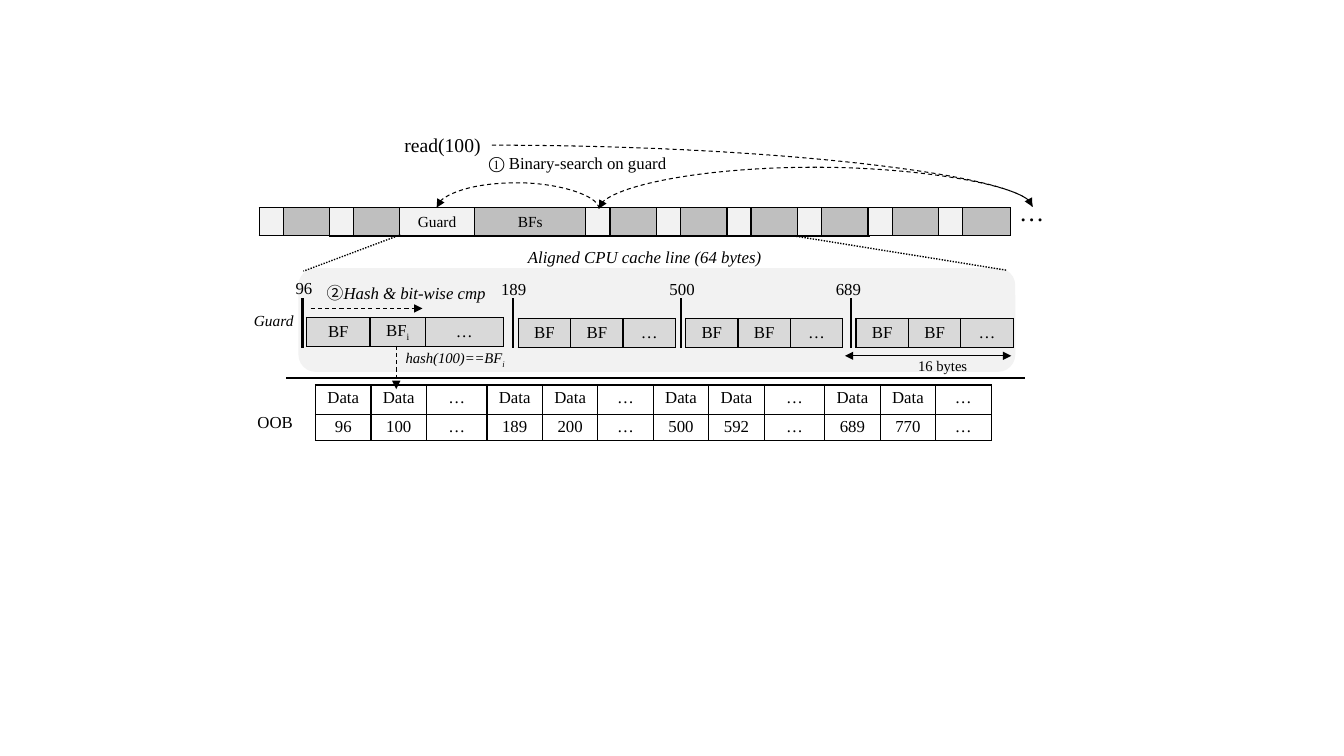
from lxml import etree
from pptx import Presentation
from pptx.dml.color import RGBColor
from pptx.enum.dml import MSO_LINE
from pptx.enum.shapes import MSO_CONNECTOR, MSO_SHAPE
from pptx.enum.text import MSO_ANCHOR, MSO_AUTO_SIZE, PP_ALIGN
from pptx.oxml.ns import qn
from pptx.util import Inches, Pt

DASH, DOTS = MSO_LINE.DASH, MSO_LINE.ROUND_DOT
LINE, CURVE = MSO_CONNECTOR.STRAIGHT, MSO_CONNECTOR.CURVE
LEFT, MID = PP_ALIGN.LEFT, PP_ALIGN.CENTER
TOP, CENTER = MSO_ANCHOR.TOP, MSO_ANCHOR.MIDDLE
FIT = MSO_AUTO_SIZE.SHAPE_TO_FIT_TEXT
ROUND = MSO_SHAPE.ROUNDED_RECTANGLE

HEX = {"ink": "000000", "pale": "F2F2F2", "soft": "D9D9D9",
       "gray": "BFBFBF", "white": "FFFFFF"}
FONT = "Times New Roman"
COLS, ROWS = 133.3, 75  # grid units of a tenth of an inch


def unit(n):
    return Inches(n / 10)


def color(name):
    return RGBColor.from_string(HEX[name])


def sub(text):
    return text, {"base": -25}


class Board:
    def __init__(self, slide):
        self.slide = slide
        self.shapes = slide.shapes

    def words(self, para, runs, size, align=MID, **form):
        """Fill a paragraph from a string or from (text, format) pairs."""
        para.alignment = align
        for text, extra in [(runs, {})] if isinstance(runs, str) else runs:
            run = para.add_run()
            run.text = text
            look = {"name": FONT, "size": Pt(size), **form, **extra}
            base = look.pop("base", 0)
            for key, value in look.items():
                setattr(run.font, key, value)
            run.font.color.rgb = color("ink")
            if base:
                run.font._element.set("baseline", str(base * 1000))

    def text(self, box, runs, size=12, wrap=False, **form):
        frame = self.shapes.add_textbox(*map(unit, box)).text_frame
        frame.word_wrap, frame.auto_size = wrap, FIT
        self.words(frame.paragraphs[0], runs, size, **form)

    def panel(self, box, fill):
        shape = self.shapes.add_shape(ROUND, *map(unit, box))
        shape.shadow.inherit = False
        shape.fill.solid()
        shape.fill.fore_color.rgb = color(fill)
        shape.line.fill.background()

    def line(self, start, end, width=0.75, dash=None, ends=(), kind=LINE):
        link = self.shapes.add_connector(kind, *map(unit, (*start, *end)))
        link.line.width = Pt(width)
        link.line.color.rgb = color("ink")
        if dash:
            link.line.dash_style = dash
        props = link._element.spPr
        for tip in ends:
            etree.SubElement(props.find(qn("a:ln")), qn(f"a:{tip}End"), type="triangle")
        etree.SubElement(props, qn("a:effectLst"))
        return link

    def curve(self, start, end):
        link = self.line(start, end, dash=DASH, ends=["tail"], kind=CURVE)
        link._element.spPr.find(qn("a:prstGeom")).set("prst", "curvedConnector2")

    def arch(self, start, end, peak):
        """Draw an arrow from right to left that bows up to the peak row."""
        link = self.line(start, end, dash=DASH, ends=["tail"], kind=CURVE)
        (x1, y1), (x2, y2) = start, end
        wide, high = abs(y2 - y1), abs(x2 - x1)
        spot = {"left": (x1 + x2 - wide) / 2, "top": (y1 + y2 - high) / 2,
                "width": wide, "height": high}
        for key, value in spot.items():
            setattr(link, key, unit(value))
        props = link._element.spPr
        turn = {"rot": "16200000", "flipH": str(int(y2 > y1)), "flipV": "1"}
        for key, value in turn.items():
            props.find(qn("a:xfrm")).set(key, value)
        geom = props.find(qn("a:prstGeom"))
        for old in list(geom):
            geom.remove(old)
        bend = round((peak - y1) / (y2 - y1) * 100000)
        etree.SubElement(etree.SubElement(geom, qn("a:avLst")), qn("a:gd"),
                         name="adj1", fmla=f"val {bend}")

    def edge(self, cell, base):
        props = cell._tc.get_or_add_tcPr()
        for side in "LRTB":
            width = base if side == "B" else 1
            ln = etree.SubElement(props, qn(f"a:ln{side}"), w=str(int(Pt(width))))
            fill = etree.SubElement(ln, qn("a:solidFill"))
            etree.SubElement(fill, qn("a:srgbClr"), val=HEX["ink"])

    def table(self, spot, wides, highs, rows, fills, size=12, anchor=CENTER,
              pads=(1, 0.3), base=1):
        area = (*spot, sum(wides), sum(highs))
        grid = self.shapes.add_table(len(highs), len(wides), *map(unit, area)).table
        grid.first_row = grid.horz_banding = False
        for col, wide in zip(grid.columns, wides):
            col.width = unit(wide)
        side, head = map(unit, pads)
        form = {"margin_left": side, "margin_right": side, "margin_top": head,
                "margin_bottom": head, "vertical_anchor": anchor}
        for r, row in enumerate(rows):
            grid.rows[r].height = unit(highs[r])
            for c, (runs, fill) in enumerate(zip(row, fills)):
                cell = grid.cell(r, c)
                for key, value in form.items():
                    setattr(cell, key, value)
                self.edge(cell, base)
                cell.fill.solid()
                cell.fill.fore_color.rgb = color(fill)
                para = cell.text_frame.paragraphs[0]
                if runs:
                    self.words(para, runs, size)
                else:
                    etree.SubElement(para._p, qn("a:endParaRPr"), sz="800")


def strip(board):
    """Draw the row of guards and filters, with the cache line underlined."""
    for i in range(8):
        left = 25.7 + 7 * i if i < 2 else 58.1 + 7 * (i - 2)
        board.table((left, 20.6), [2.3, 4.7], [2.8], [["", ""]], ["pale", "gray"],
                    base=1.5 if 0 < i < 6 else 1)
    board.table((39.6, 20.6), [7.5, 11], [2.8], [["Guard", "BFs"]],
                ["pale", "gray"], size=11, pads=(1, 0.5), base=1.5)
    board.text((100.1, 19, 4.5, 4), "…", 18, wrap=True, align=LEFT)


def groups(board):
    thirds = [5.2] * 3
    first = [("BF", {}), sub("i")]
    for key, mark, mid, left, top, wides, second in (
            ("96", 30, 30.15, 30.4, 31.5, [6.3, 5.5, 7.7], first),
            ("189", 50.9, 50.95, 51.4, 31.6, thirds, "BF"),
            ("500", 67.5, 67.65, 68, 31.6, thirds, "BF"),
            ("689", 84.4, 84.15, 84.9, 31.6, thirds, "BF")):
        board.table((left, top), wides, [2.9], [["BF", second, "…"]], ["soft"] * 3)
        board.text((mid - 2.25, 27.2 if second == "BF" else 27.1, 4.5, 3), key)
        board.line((mark, 29.6), (mark, 34.5), 1.5)


def store(board):
    keys = ["96", "100", "…", "189", "200", "…", "500", "592", "…", "689", "770", "…"]
    heads = ["…" if key == "…" else "Data" for key in keys]
    wides = [6 if i in (2, 8) else 5.5 for i in range(len(keys))]
    board.table((31.3, 38.2), wides, [2.9, 2.6], [heads, keys],
                ["white"] * len(keys), anchor=TOP, pads=(1.1, 0.3))


def main():
    deck = Presentation()
    deck.slide_width, deck.slide_height = unit(COLS), unit(ROWS)
    board = Board(deck.slides.add_slide(deck.slide_layouts[6]))

    board.panel((29.6, 26.6, 71.1, 10.3), "pale")
    board.text((51.2, 24, 25.5, 3), "Aligned CPU cache line (64 bytes)", italic=True)
    board.line((28.4, 37.5), (101.7, 37.5), 1.5)
    groups(board)
    store(board)
    board.text((24.5, 40.4, 5.6, 3), "OOB")
    board.text((24.1, 30.4, 6.1, 2.9), "Guard", 11, italic=True)

    board.line((30.8, 30.6), (41.9, 30.6), dash=DASH, ends=["tail"])
    board.text((31.3, 27.6, 18, 3), [("②", {"name": "Noto Sans CJK KR"}),
                                     ("Hash & bit-wise cmp", {"italic": True})])
    board.line((39.3, 34.3), (39.3, 38.6), dash=DASH, ends=["tail"])
    board.text((39.1, 34.1, 12.1, 2.8), [("hash(100)==BF", {}), sub("i")],
               10.5, italic=True)
    board.line((83.8, 35.3), (100.3, 35.3), 0.5, ends=["head", "tail"])
    board.text((90, 34.9, 7, 2.8), "16 bytes", 10.5)

    strip(board)
    board.text((39.1, 12.7, 9.6, 3.4), "read(100)", 14)
    board.arch((102.4, 20.5), (59.4, 20.7), 16.6)
    board.curve((48.8, 14.4), (102.4, 20.5))
    board.arch((59.4, 20.7), (43.3, 20.6), 18.1)
    board.text((47.3, 14.7, 20, 3), "① Binary-search on guard")
    board.line((78.7, 23.4), (99.8, 26.8), 1, DOTS)
    board.line((39.7, 23.3), (30.1, 26.9), 1, DOTS)
    deck.save("out.pptx")


if __name__ == "__main__":
    main()
